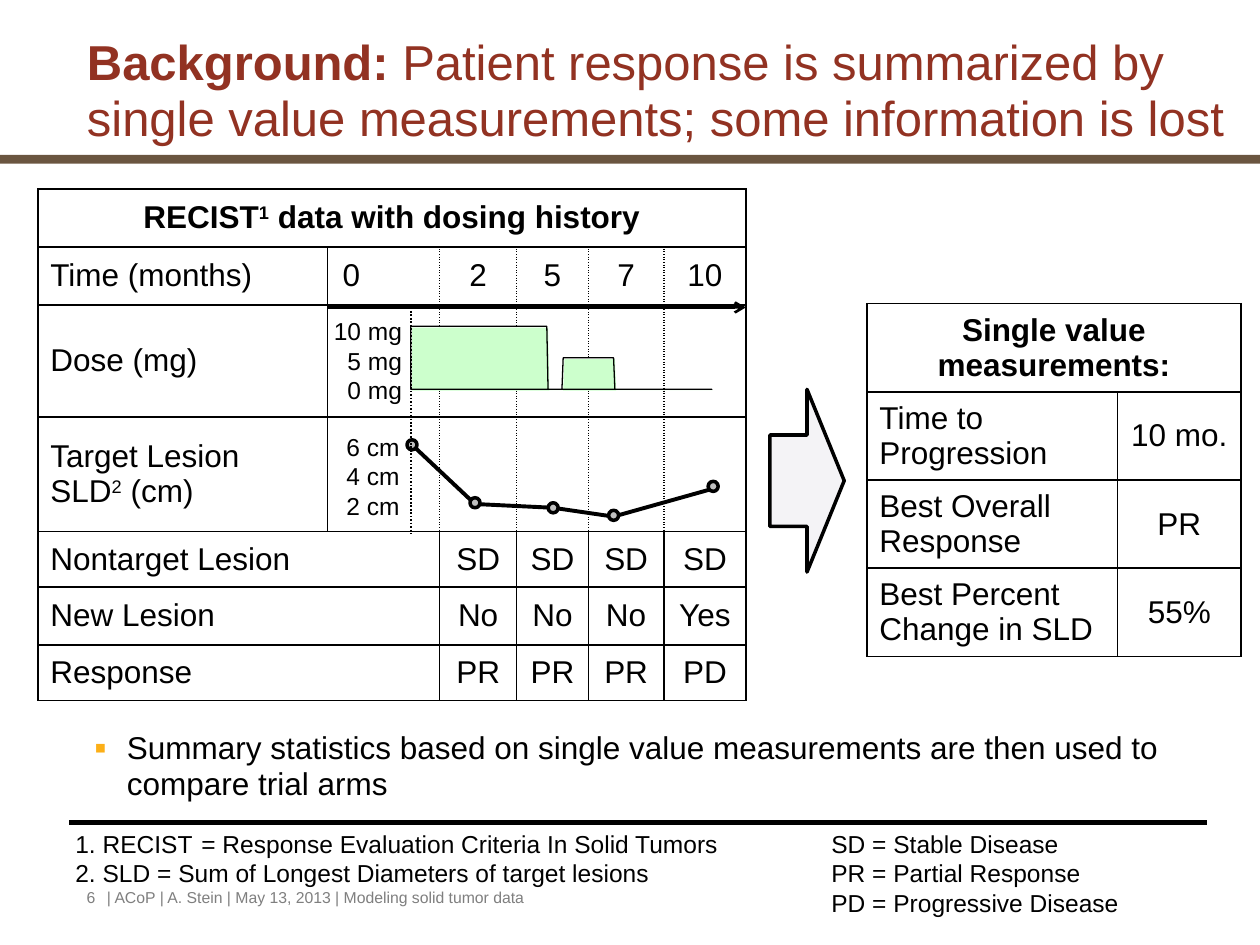
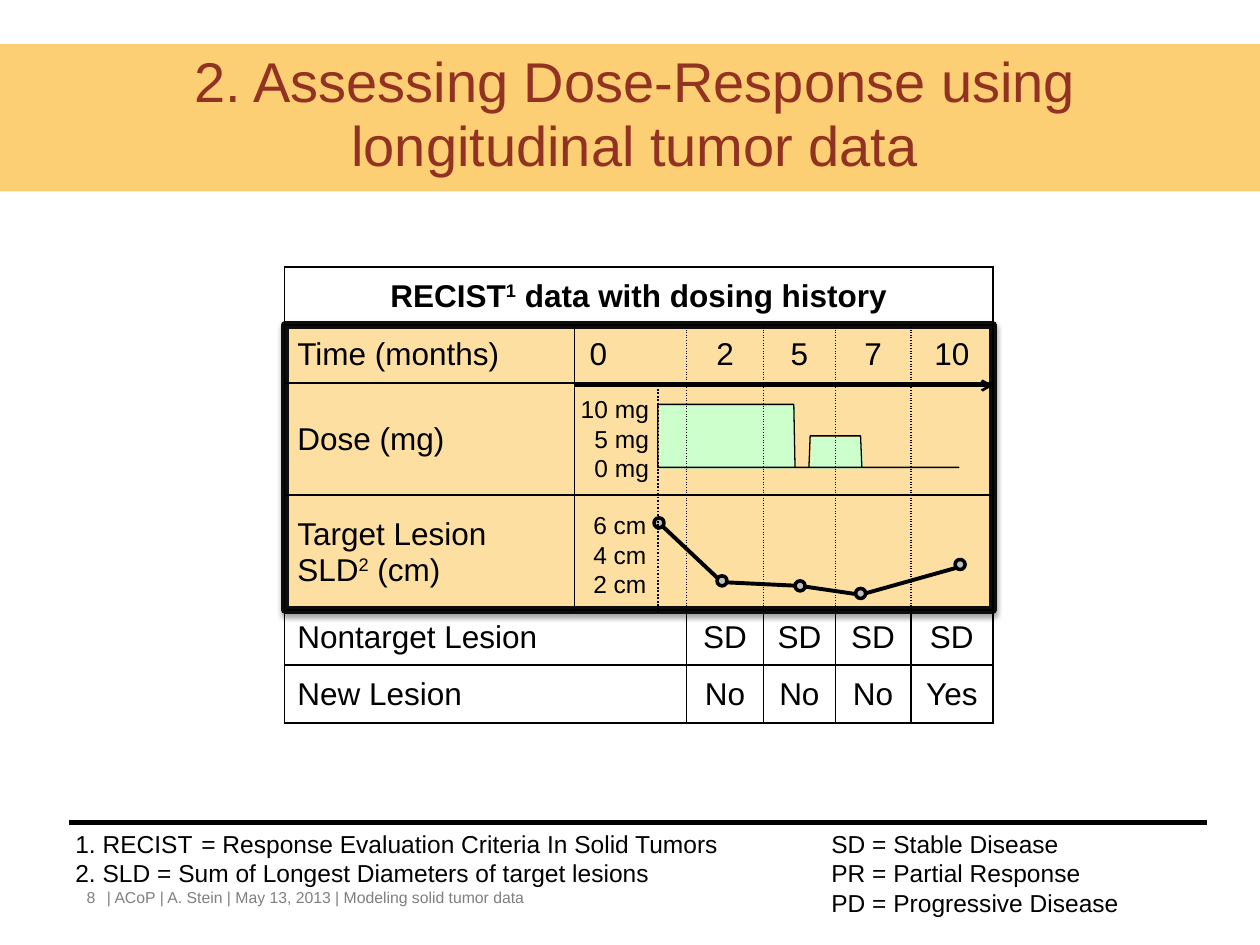
"""Build two slides on how tumor response data are recorded and summarized."""
from lxml import etree
from pptx import Presentation
from pptx.dml.color import RGBColor
from pptx.enum.dml import MSO_LINE
from pptx.enum.shapes import MSO_CONNECTOR, MSO_SHAPE
from pptx.enum.text import MSO_ANCHOR, MSO_AUTO_SIZE, PP_ALIGN
from pptx.oxml.ns import qn
from pptx.util import Inches, Pt

LEFT, CENTER, RIGHT = PP_ALIGN.LEFT, PP_ALIGN.CENTER, PP_ALIGN.RIGHT
RECTANGLE, OVAL, ARROW = MSO_SHAPE.RECTANGLE, MSO_SHAPE.OVAL, MSO_SHAPE.RIGHT_ARROW
STRAIGHT, DOTTED = MSO_CONNECTOR.STRAIGHT, MSO_LINE.ROUND_DOT
MIDDLE, BOTTOM, NO_FIT = MSO_ANCHOR.MIDDLE, MSO_ANCHOR.BOTTOM, MSO_AUTO_SIZE.NONE

COLORS = {
    "title": "923222", "rule": "6A5540", "band": "FDCF74", "highlight": "FEDFA2",
    "frame": "0D0D0D", "dose": "CCFFCC", "marker": "BFBFBF", "arrow": "F4F3F6",
    "bullet": "FCAF17", "footer": "7F7F7F", "black": "000000",
}
COLUMNS = [2.3, 0.89, 0.61, 0.57, 0.6, 0.65]
ROWS = [0.46, 0.46, 0.89, 0.91, 0.44, 0.46, 0.44]
TABLE_WIDTH = sum(COLUMNS)
TIMELINE_ROWS = (1, 2, 3)
RECIST_CELLS = [
    ["RECIST^1^ data with dosing history"],
    ["Time (months)", "0", "2", "5", "7", "10"],
    ["Dose (mg)"],
    ["Target Lesion SLD^2^ (cm)"],
    ["Nontarget Lesion", "", "SD", "SD", "SD", "SD"],
    ["New Lesion", "", "No", "No", "No", "Yes"],
    ["Response", "", "PR", "PR", "PR", "PD"],
]
RECIST_MERGES = {0: 5, 4: 1, 5: 1, 6: 1}
SUMMARY_CELLS = [
    ["Single value measurements:"],
    ["Time to Progression", "10 mo."],
    ["Best Overall Response", "PR"],
    ["Best Percent Change in SLD", "55%"],
]
DOSE_OUTLINE = [
    (2.96, 1.09), (4.04, 1.09), (4.05, 1.59), (4.16, 1.59), (4.17, 1.34),
    (4.57, 1.34), (4.58, 1.59), (5.35, 1.59), (2.96, 1.59), (2.96, 1.09),
]
LESION_CURVE = [(2.96, 2.02), (3.47, 2.5), (4.09, 2.53), (4.57, 2.6), (5.39, 2.37)]
LESION_MARKERS = [(2.97, 2.03), (3.47, 2.49), (4.09, 2.53), (4.57, 2.59), (5.36, 2.36)]
MARKER_SIZE = 0.08
FOOTNOTES = [
    ("1. RECIST\t= Response Evaluation Criteria In Solid Tumors\tSD = Stable Disease", (1, 6)),
    ("2. SLD = Sum of Longest Diameters of target lesions\tPR = Partial Response", (6,)),
    ("\tPD = Progressive Disease", (6,)),
]
SLIDES = [
    {"number": "6", "panel": (0.3, 1.5), "rows": 7, "highlighted": False,
     "title": [("Background: ", True),
               ("Patient response is summarized by single value measurements; "
                "some information is lost", False)],
     "title_box": (0.59, 0.67, 9.41, 0.55), "title_size": 28, "title_align": LEFT},
    {"number": "8", "panel": (2.26, 2.12), "rows": 6, "highlighted": True,
     "title": [("2. Assessing Dose-Response using longitudinal tumor data", False)],
     "title_box": (1.15, 0.88, 7.78, 0.59), "title_size": 32, "title_align": CENTER},
]


def write(paragraph, text, size=18, color="black", bold=False, align=LEFT):
    """Add runs to a paragraph; text between carets is superscript."""
    paragraph.alignment = align
    for index, part in enumerate(text.split("^")):
        run = paragraph.add_run()
        run.text = part
        font_format = {"name": "Arial", "size": Pt(size), "bold": bold}
        for name, value in font_format.items():
            setattr(run.font, name, value)
        run.font.color.rgb = RGBColor.from_string(COLORS[color])
        if index % 2:
            run.font._element.set("baseline", "30000")


def style(shape, fill=None, line=None, width=1):
    """Set the fill and line of a shape and drop its shadow."""
    shape.shadow.inherit = False
    if fill:
        shape.fill.solid()
        shape.fill.fore_color.rgb = RGBColor.from_string(COLORS[fill])
    else:
        shape.fill.background()
    if line:
        shape.line.color.rgb = RGBColor.from_string(COLORS[line])
        shape.line.width = Pt(width)
    else:
        shape.line.fill.background()


presentation = Presentation()
presentation.slide_width, presentation.slide_height = Inches(10), Inches(7.5)
layout = presentation.slide_layouts[5]

for page in SLIDES:
    slide = presentation.slides.add_slide(layout)
    shapes = slide.shapes
    panel_left, panel_top = page["panel"]
    highlighted = page["highlighted"]

    title = shapes.title
    title.left, title.top, title.width, title.height = map(Inches, page["title_box"])
    frame_format = {"auto_size": NO_FIT, "word_wrap": True, "vertical_anchor": BOTTOM}
    for name, value in frame_format.items():
        setattr(title.text_frame, name, value)
    title_paragraph = title.text_frame.paragraphs[0]
    title_paragraph.line_spacing = 0.95
    for text, bold in page["title"]:
        write(title_paragraph, text, page["title_size"], "title", bold, page["title_align"])

    if highlighted:
        band = shapes.add_shape(RECTANGLE, 0, Inches(0.35), Inches(10), Inches(1.17))
        style(band, "band")
        shapes.element.insert(2, band.element)
        highlight = shapes.add_shape(
            RECTANGLE, Inches(panel_left), Inches(panel_top + ROWS[0]),
            Inches(TABLE_WIDTH), Inches(sum(ROWS[1:4])))
        style(highlight, "highlight", "frame", 4.5)
        effects = highlight.element.spPr.find(qn("a:effectLst"))
        shadow = etree.SubElement(effects, qn("a:outerShdw"), blurRad="40000",
                                  dist="23000", dir="5400000", rotWithShape="0")
        shadow_color = etree.SubElement(shadow, qn("a:srgbClr"), val=COLORS["black"])
        etree.SubElement(shadow_color, qn("a:alpha"), val="35000")
    else:
        rule = shapes.add_shape(RECTANGLE, 0, Inches(1.23), Inches(10), Inches(0.07))
        style(rule, "rule")
        layout.shapes.element.append(rule.element)

    tables = [(page["panel"], COLUMNS, ROWS[:page["rows"]], RECIST_CELLS,
               RECIST_MERGES, TIMELINE_ROWS)]
    if not highlighted:
        tables.append(((6.88, 2.41), [1.99, 0.98], [0.7] * 4, SUMMARY_CELLS, {0: 1}, ()))
    table_frames = []
    for (left, top), columns, rows, cells, merges, dotted_rows in tables:
        table_frame = shapes.add_table(
            len(rows), len(columns), Inches(left), Inches(top),
            Inches(sum(columns)), Inches(sum(rows)))
        table_frames.append(table_frame)
        table = table_frame.table
        table.first_row = table.horz_banding = False
        for index, width in enumerate(columns):
            table.columns[index].width = Inches(width)
        for row, height in enumerate(rows):
            table.rows[row].height = Inches(height)
            for column in range(len(columns)):
                cell = table.cell(row, column)
                cell.vertical_anchor = MIDDLE
                properties = cell._tc.get_or_add_tcPr()
                for side in "LRTB":
                    border = etree.SubElement(properties, qn(f"a:ln{side}"), w="12700")
                    fill = etree.SubElement(border, qn("a:solidFill"))
                    etree.SubElement(fill, qn("a:srgbClr"), val=COLORS["black"])
                    inner = (side == "L" and column > 1) or (
                        side == "R" and 0 < column < len(columns) - 1)
                    dash = "sysDot" if row in dotted_rows and inner else "solid"
                    etree.SubElement(border, qn("a:prstDash"), val=dash)
                cell.fill.background()
            if row in merges:
                table.cell(row, 0).merge(table.cell(row, merges[row]))
            for column, text in enumerate(cells[row]):
                if text:
                    align = CENTER if (row == 0 or column) and text != "0" else LEFT
                    cell = table.cell(row, column)
                    write(cell.text_frame.paragraphs[0], text, bold=row == 0, align=align)
                    if text == "0":
                        cell.margin_left = Inches(0.12)

    for offset, fill, line in [(0.01, "dose", None), (0, None, "black")]:
        points = [(Inches(panel_left + x + offset), Inches(panel_top + y + offset))
                  for x, y in DOSE_OUTLINE]
        builder = shapes.build_freeform(*points[0])
        builder.add_line_segments(points[1:], close=bool(fill))
        style(builder.convert_to_shape(), fill, line, 0)

    lesion_group = shapes.add_group_shape()
    points = [(Inches(panel_left + x), Inches(panel_top + y)) for x, y in LESION_CURVE]
    builder = lesion_group.shapes.build_freeform(*points[0])
    builder.add_line_segments(points[1:], close=False)
    style(builder.convert_to_shape(), line="black", width=2.25)
    for x, y in LESION_MARKERS:
        marker = lesion_group.shapes.add_shape(
            OVAL, Inches(panel_left + x - MARKER_SIZE / 2),
            Inches(panel_top + y - MARKER_SIZE / 2), Inches(MARKER_SIZE), Inches(MARKER_SIZE))
        style(marker, "marker", "black", 2)

    zero_x, axis_y = panel_left + 2.96, panel_top + 0.94
    lines = [
        ((0.55, 6.53), (9.58, 6.53), 3, None, False),
        ((zero_x, axis_y), (zero_x, axis_y + 1.8), 1, DOTTED, False),
        ((panel_left + COLUMNS[0], axis_y), (panel_left + TABLE_WIDTH, axis_y), 1.5, None, True),
    ]
    for start, end, width, dash, arrowhead in lines:
        connector = shapes.add_connector(STRAIGHT, *map(Inches, start + end))
        connector.line.color.rgb = RGBColor.from_string(COLORS["black"])
        connector.line.width = Pt(width)
        if dash:
            connector.line.dash_style = dash
        shape_properties = connector.element.spPr
        if arrowhead:
            etree.SubElement(shape_properties.find(qn("a:ln")), qn("a:tailEnd"), type="arrow")
        etree.SubElement(shape_properties, qn("a:effectLst"))

    if highlighted:
        shapes.element.append(table_frames[0].element)

    text_boxes = [
        ((panel_left + 2.25, panel_top + 0.96, 0.74, 0.81),
         ["10 mg", "5 mg", "0 mg"], 14, "black", RIGHT, False),
        ((panel_left + 2.34, panel_top + 1.88, 0.63, 0.81),
         ["6 cm", "4 cm", "2 cm"], 14, "black", RIGHT, False),
        ((0.5, 6.53, 8.77, 0.81), [text for text, stops in FOOTNOTES], 14, "black", LEFT, True),
        ((0.59, 7, 0.44, 0.27), [page["number"]], 9, "footer", LEFT, True),
        ((0.75, 7, 7.08, 0.27),
         ["| ACoP | A. Stein | May 13, 2013 | Modeling solid tumor data"],
         9, "footer", LEFT, True),
    ]
    if not highlighted:
        text_boxes.append((
            (0.65, 5.75, 8.94, 0.44),
            ["Summary statistics based on single value measurements are then used to "
             "compare trial arms"], 18, "black", LEFT, True))
    for box, texts, size, color, align, wrap in text_boxes:
        text_box = shapes.add_textbox(*map(Inches, box))
        frame = text_box.text_frame
        frame.word_wrap = wrap
        for index, text in enumerate(texts):
            paragraph = frame.add_paragraph() if index else frame.paragraphs[0]
            if "\t" in text:
                tab_list = etree.SubElement(paragraph._p.get_or_add_pPr(), qn("a:tabLst"))
                for stop in FOOTNOTES[index][1]:
                    etree.SubElement(tab_list, qn("a:tab"), pos=str(Inches(stop)), algn="l")
            write(paragraph, text, size, color, align=align)

    if not highlighted:
        paragraph.line_spacing = 0.95
        properties = paragraph._p.get_or_add_pPr()
        properties.set("marL", str(Inches(0.26)))
        properties.set("indent", str(-Inches(0.26)))
        bullet_color = etree.SubElement(properties, qn("a:buClr"))
        etree.SubElement(bullet_color, qn("a:srgbClr"), val=COLORS["bullet"])
        etree.SubElement(properties, qn("a:buSzPct"), val="110000")
        etree.SubElement(properties, qn("a:buFont"), typeface="Arial")
        etree.SubElement(properties, qn("a:buChar"), char="▪")
        arrow = shapes.add_shape(ARROW, *map(Inches, (6.11, 3.09, 0.59, 1.45)))
        style(arrow, "arrow", "black", 2)

presentation.save("out.pptx")
